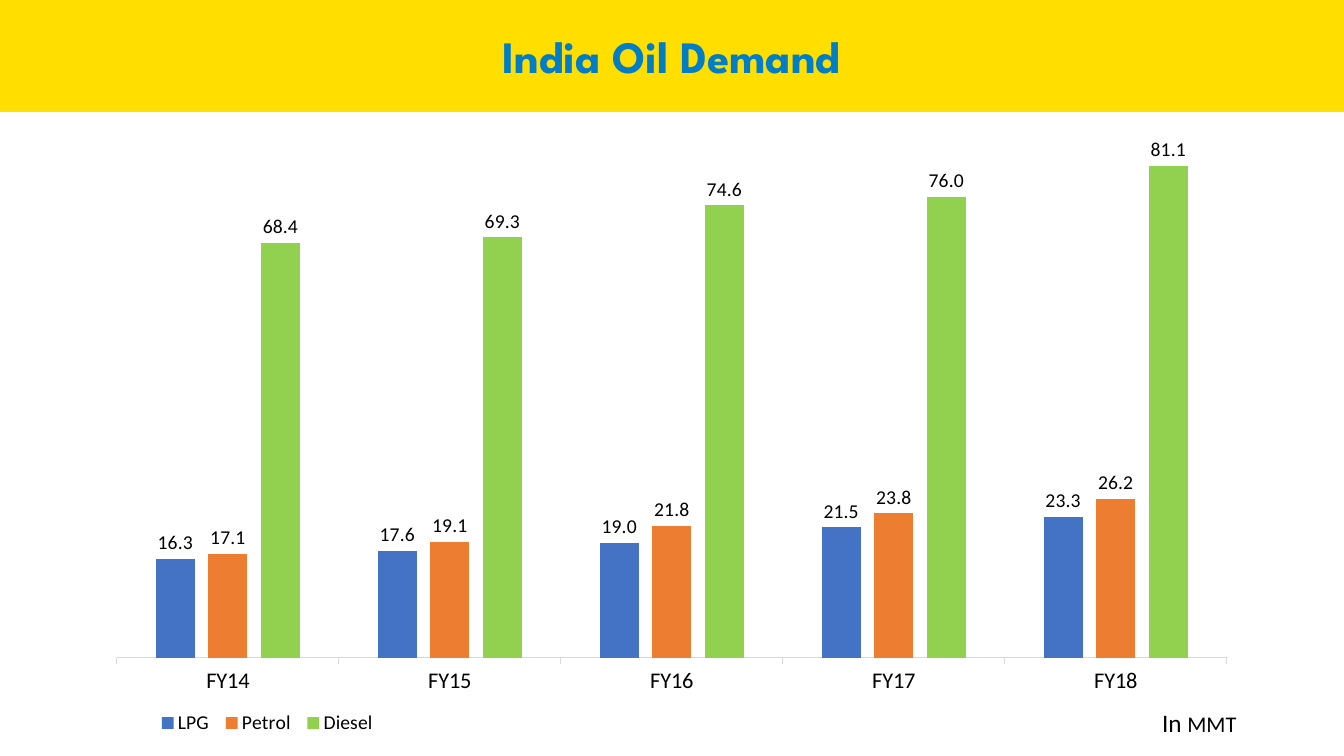
"""Build the India oil demand slide."""
from pptx import Presentation
from pptx.chart.data import CategoryChartData
from pptx.dml.color import RGBColor
from pptx.enum import chart as ch, shapes, text
from pptx.oxml import parse_xml
from pptx.oxml.ns import nsdecls
from pptx.util import Pt

YEARS = ["FY14", "FY15", "FY16", "FY17", "FY18"]
DEMAND = [
    ("LPG", "4472C4", [16.3, 17.6, 19.0, 21.5, 23.3]),
    ("Petrol", "ED7D31", [17.1, 19.1, 21.8, 23.8, 26.2]),
    ("Diesel", "92D050", [68.4, 69.3, 74.6, 76.0, 81.1]),
]


def rgb(value):
    """Return the colour for a hex string."""
    return RGBColor.from_string(value)


def style_font(font, size, color="000000", name="Calibri", bold=False):
    """Set the look of a font."""
    font.size, font.name, font.bold = Pt(size), name, bold
    font.color.rgb = rgb(color)


def add_banner(slide, left, top, width, height, color):
    """Add a plain filled rectangle."""
    banner = slide.shapes.add_shape(
        shapes.MSO_SHAPE.RECTANGLE, Pt(left), Pt(top), Pt(width), Pt(height))
    banner.shadow.inherit = False
    banner.fill.solid()
    banner.fill.fore_color.rgb = rgb(color)
    banner.line.fill.background()


def add_label(slide, left, top, width, height, runs, align=text.PP_ALIGN.LEFT):
    """Add a one-paragraph text box from pairs of words and font settings."""
    frame = slide.shapes.add_textbox(
        Pt(left), Pt(top), Pt(width), Pt(height)).text_frame
    frame.word_wrap = True
    frame.auto_size = text.MSO_AUTO_SIZE.SHAPE_TO_FIT_TEXT
    paragraph = frame.paragraphs[0]
    paragraph.alignment = align
    for words, look in runs:
        run = paragraph.add_run()
        run.text = words
        style_font(run.font, **look)


def place(part, x, y, w, h, inner=False):
    """Fix a chart part at fractions of the chart area."""
    target = '<c:layoutTarget val="inner"/>' if inner else ""
    layout = parse_xml(
        f'<c:layout {nsdecls("c")}><c:manualLayout>{target}'
        '<c:xMode val="edge"/><c:yMode val="edge"/>'
        f'<c:x val="{x}"/><c:y val="{y}"/><c:w val="{w}"/><c:h val="{h}"/>'
        '</c:manualLayout></c:layout>')
    for old in part.xpath("c:layout"):
        part.remove(old)
    before = part.xpath("c:legendPos")
    if before:
        before[0].addnext(layout)
    else:
        part.insert(0, layout)


def style_series(series, color):
    """Colour a series and show its values above the columns."""
    series.format.fill.solid()
    series.format.fill.fore_color.rgb = rgb(color)
    labels = series.data_labels
    labels.show_value = True
    labels.position = ch.XL_LABEL_POSITION.OUTSIDE_END
    labels.number_format, labels.number_format_is_linked = "0.0", False
    style_font(labels.font, 14)


def style_axes(chart):
    """Show the years and hide the value scale."""
    years, amounts = chart.category_axis, chart.value_axis
    years.major_tick_mark = ch.XL_TICK_MARK.OUTSIDE
    years.format.line.color.rgb = rgb("D9D9D9")
    years.format.line.width = Pt(0.75)
    style_font(years.tick_labels.font, 16)
    amounts.minimum_scale, amounts.maximum_scale = 0, 90
    amounts.has_major_gridlines = False
    amounts.visible = False


def add_demand_chart(slide, left, top, width, height):
    """Add the clustered columns of demand by year."""
    demand = CategoryChartData(number_format="0.0")
    demand.categories = YEARS
    for name, _, values in DEMAND:
        demand.add_series(name, values)
    chart = slide.shapes.add_chart(
        ch.XL_CHART_TYPE.COLUMN_CLUSTERED,
        Pt(left), Pt(top), Pt(width), Pt(height), demand).chart
    chart.has_title = False
    style_font(chart.font, 10)
    style_axes(chart)
    plot = chart.plots[0]
    plot.gap_width, plot.overlap, plot.vary_by_categories = 200, -35, False
    for series, (_, color, _) in zip(plot.series, DEMAND):
        style_series(series, color)
    chart.has_legend = True
    legend = chart.legend
    legend.position = ch.XL_LEGEND_POSITION.BOTTOM
    legend.include_in_layout = False
    style_font(legend.font, 14)
    plot_area = chart._chartSpace.chart.plotArea
    place(plot_area, 0.02, 0.02, 0.96, 0.84, inner=True)
    place(legend._element, 0.05, 0.93, 0.2, 0.06)


def main():
    """Build and save the slide."""
    deck = Presentation()
    deck.slide_width, deck.slide_height = Pt(960), Pt(540)
    slide = deck.slides.add_slide(deck.slide_layouts[6])
    add_demand_chart(slide, 67, 70.6, 825.8, 464.4)
    add_label(slide, 823, 501.8, 70, 29,
              [("In ", {"size": 18}), ("MMT", {"size": 16})])
    add_banner(slide, 0, 0, 960, 80, "FFDE00")
    title_look = {"size": 32, "color": "007DC7",
                  "name": "League Spartan", "bold": True}
    add_label(slide, 333.4, 17.3, 293, 46, [("India Oil Demand", title_look)],
              text.PP_ALIGN.CENTER)
    deck.save("out.pptx")


if __name__ == "__main__":
    main()
